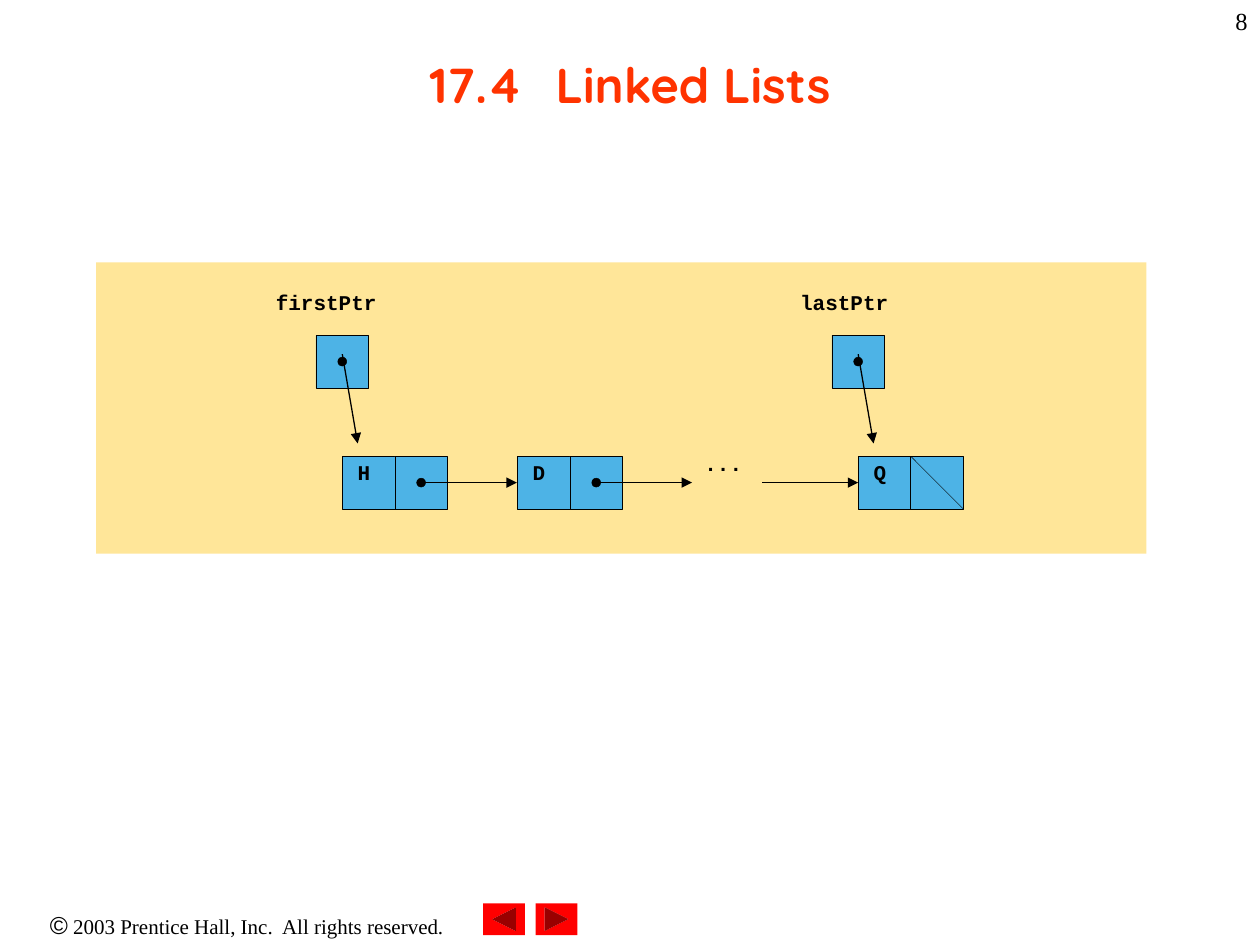
"""Build the linked list slide: title, node diagram, footer and navigation buttons."""
from lxml import etree
from pptx import Presentation
from pptx.dml.color import RGBColor
from pptx.enum.shapes import MSO_CONNECTOR as Line, MSO_SHAPE as Shape
from pptx.enum.text import MSO_ANCHOR as Anchor, PP_ALIGN as Align
from pptx.oxml.ns import qn
from pptx.util import Cm, Pt

BLACK = RGBColor(0x00, 0x00, 0x00)
ORANGE = RGBColor(0xFF, 0x33, 0x00)
RED = RGBColor(0xFF, 0x00, 0x00)
SAND = RGBColor(0xFF, 0xE6, 0x99)
BLUE = RGBColor(0x4D, 0xB3, 0xE6)

CELL = 1.06
DOT = 0.18
NODE_Y = 9.2
POINTER_Y = 6.76
LINK = 1.93
NODES = [("H", 6.9), ("D", 10.43), ("Q", 17.3)]
POINTERS = [("firstPtr", 5.56, 6.9), ("lastPtr", 16.13, 17.3)]
PADDING = (0.25, 0.13)


def add_text(s, runs, x, y, w, h, size=12, font="Courier New", color=BLACK,
             bold=False, align=Align.LEFT, anchor=Anchor.TOP, padding=(0, 0),
             spacing=None, tab=None):
    """Add a text box; runs is a string or a list of (text, font, size)."""
    tf = s.shapes.add_textbox(Cm(x), Cm(y), Cm(w), Cm(h)).text_frame
    tf.word_wrap = True
    tf.vertical_anchor = anchor
    tf.margin_left = tf.margin_right = Cm(padding[0])
    tf.margin_top = tf.margin_bottom = Cm(padding[1])
    p = tf.paragraphs[0]
    p.alignment = align
    if spacing:
        p.line_spacing = spacing
    if tab:
        tabs = etree.SubElement(p._p.get_or_add_pPr(), qn("a:tabLst"))
        etree.SubElement(tabs, qn("a:tab"), pos=str(Cm(tab)), algn="l")
    for text, name, points in [(runs, font, size)] if isinstance(runs, str) else runs:
        r = p.add_run()
        r.text = text
        r.font.name = name
        r.font.size = Pt(points)
        r.font.bold = bold
        r.font.color.rgb = color


def add_code(s, text, x, y, w):
    """Add a bold code label."""
    add_text(s, text, x, y, w, 0.76, bold=True, spacing=0.72)


def add_shape(s, kind, x, y, w, h, fill, line=None):
    """Add a filled preset shape, outlined when a line colour is given."""
    sp = s.shapes.add_shape(kind, Cm(x), Cm(y), Cm(w), Cm(h))
    sp.shadow.inherit = False
    sp.fill.solid()
    sp.fill.fore_color.rgb = fill
    if line is None:
        sp.line.fill.background()
    else:
        sp.line.color.rgb = line
        sp.line.width = Pt(0.25)
    return sp


def add_line(s, x1, y1, x2, y2, width=0.25, arrow=True):
    """Add a straight black line, with an arrowhead at its end by default."""
    c = s.shapes.add_connector(Line.STRAIGHT, Cm(x1), Cm(y1), Cm(x2), Cm(y2))
    c.line.color.rgb = BLACK
    c.line.width = Pt(width)
    if arrow:
        etree.SubElement(c.line._get_or_add_ln(), qn("a:tailEnd"), type="triangle")
    etree.SubElement(c._element.spPr, qn("a:effectLst"))


def add_cell(s, x, y):
    """Add one square memory cell."""
    add_shape(s, Shape.RECTANGLE, x, y, CELL, CELL, BLUE, BLACK)


def add_dot(s, x, y):
    """Add a dot in the middle of the cell at x, y."""
    inset = (CELL - DOT) / 2
    add_shape(s, Shape.OVAL, x + inset, y + inset, DOT, DOT, BLACK, BLACK)


def add_node(s, label, x, last):
    """Add a data cell and a link cell; the last link is a null slash."""
    link_x, middle = x + CELL, NODE_Y + CELL / 2
    add_cell(s, x, NODE_Y)
    add_cell(s, link_x, NODE_Y)
    add_code(s, label, x + 0.31, 9.4, 0.43)
    if last:
        add_line(s, x - LINK, middle, x, middle)
        add_line(s, link_x, NODE_Y, link_x + CELL, NODE_Y + CELL, arrow=False)
    else:
        start = link_x + CELL / 2
        add_dot(s, link_x, NODE_Y)
        add_line(s, start, middle, start + LINK, middle)


def add_pointer(s, name, label_x, node_x):
    """Add a named pointer cell with an arrow to its node."""
    x = node_x - CELL / 2
    add_code(s, name, label_x, 5.97, 2.67)
    add_cell(s, x, POINTER_Y)
    add_dot(s, x, POINTER_Y)
    add_line(s, node_x, 7.14, node_x + 0.31, 8.94, width=0.75)


def main():
    """Build and save the slide."""
    prs = Presentation()
    prs.slide_width, prs.slide_height = Cm(25.4), Cm(19.05)
    s = prs.slides.add_slide(prs.slide_layouts[6])

    footer = [("©", "Arial", 14),
              (" 2003 Prentice Hall, Inc.  All rights reserved.", "Times New Roman", 12)]
    add_text(s, footer, 0, 18.21, 9.96, 0.86, align=Align.CENTER, padding=PADDING)
    for x, rotation in [(10.8, 0), (9.74, 180)]:
        button = add_shape(s, Shape.ACTION_BUTTON_FORWARD_OR_NEXT,
                           x, 18.21, 0.84, 0.64, RED)
        button.rotation = rotation

    add_text(s, "17.4\tLinked Lists", 1.9, 0.2, 21.6, 2.97, size=28,
             font="Quicksand", color=ORANGE, bold=True, align=Align.CENTER,
             anchor=Anchor.MIDDLE, padding=PADDING, tab=2.54)
    add_shape(s, Shape.RECTANGLE, 1.94, 5.29, 21.17, 5.87, SAND)
    for label, x in NODES:
        add_node(s, label, x, last=label == NODES[-1][0])
    add_code(s, "...", 14.2, 9.22, 1.07)
    for pointer in POINTERS:
        add_pointer(s, *pointer)
    add_text(s, "8", 20.12, 0, 5.28, 1.27, size=14, font="Times New Roman",
             align=Align.RIGHT, padding=PADDING)
    prs.save("out.pptx")


if __name__ == "__main__":
    main()
